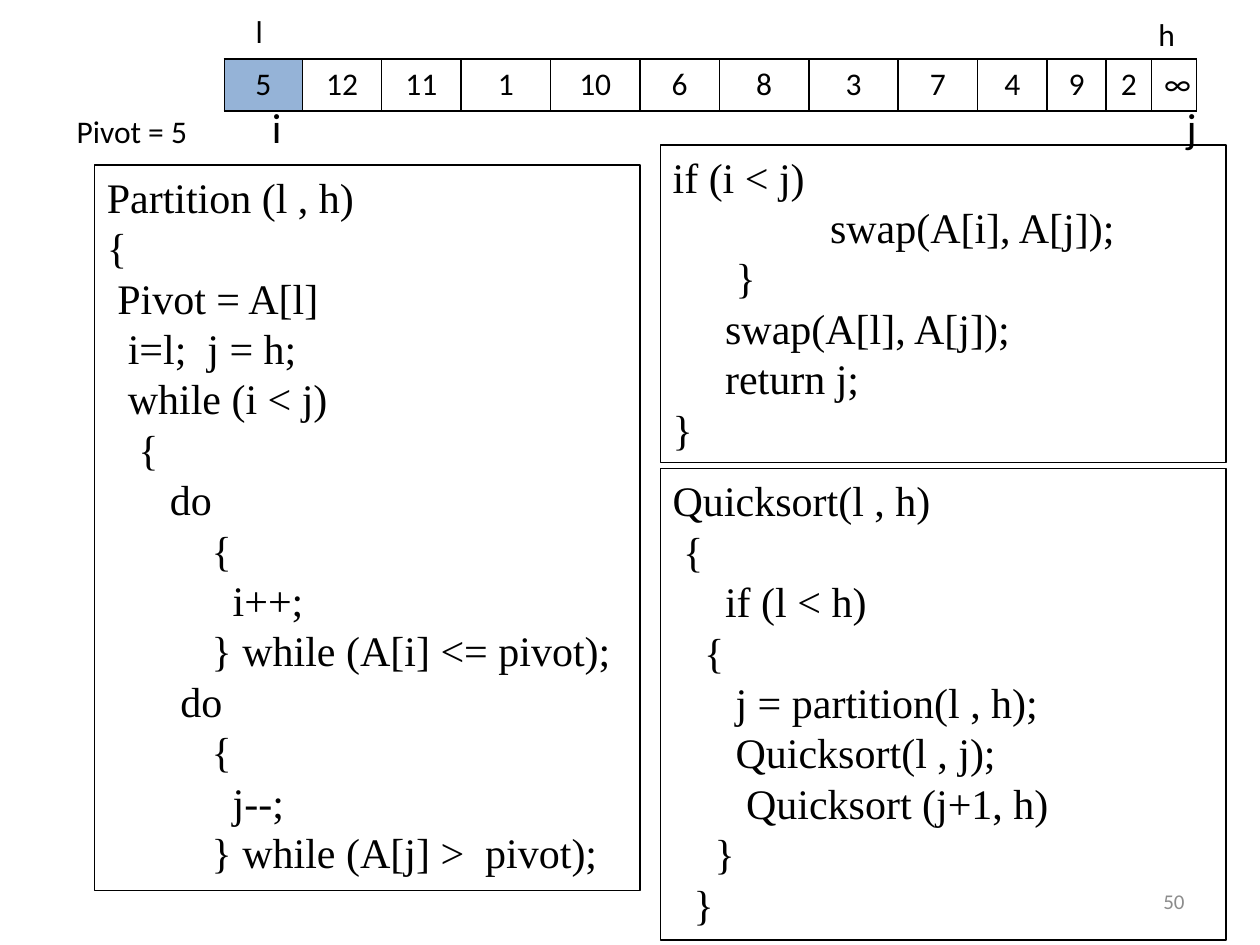
from dataclasses import dataclass

from lxml import etree
from pptx import Presentation
from pptx.dml.color import RGBColor
from pptx.enum import shapes, text
from pptx.oxml.ns import qn
from pptx.util import Inches, Pt


@dataclass(frozen=True)
class Theme:
    ink: RGBColor = RGBColor(0, 0, 0)
    mute: RGBColor = RGBColor(0x8C, 0x8C, 0x8C)
    mark: RGBColor = RGBColor(0x95, 0xB3, 0xD7)
    sans: str = "Calibri"
    serif: str = "Times New Roman"
    big: int = 24
    mid: int = 18
    small: int = 12


THEME = Theme()
LEFT, RIGHT = text.PP_ALIGN.LEFT, text.PP_ALIGN.RIGHT

VALUES = ["5", "12", "11", "1", "10", "6", "8", "3", "7", "4", "9", "2", "∞"]
WIDTHS = [0.62, 0.63, 0.63, 0.71, 0.71, 0.63, 0.71, 0.71, 0.63,
          0.55, 0.47, 0.36, 0.36]

PARTITION = """Partition (l , h)
{
 Pivot = A[l]
  i=l;  j = h;
  while (i < j)
   {
      do
          {
            i++;
          } while (A[i] <= pivot);
       do
          {
            j--;
          } while (A[j] >  pivot);"""

SWAP = """if (i < j)
               swap(A[i], A[j]);
      }
     swap(A[l], A[j]);
     return j;
}"""

QUICKSORT = """Quicksort(l , h)
 {
     if (l < h)
   {
      j = partition(l , h);
      Quicksort(l , j);
       Quicksort (j+1, h)
    }
  }"""


def style(frame, size, face=THEME.sans, color=THEME.ink, align=LEFT):
    for para in frame.paragraphs:
        para.alignment = align
        for run in para.runs:
            run.font.size = Pt(size)
            run.font.name = face
            run.font.bold = False
            run.font.color.rgb = color


def add_label(slide, box, words, size=THEME.mid, **look):
    frame = slide.shapes.add_textbox(*map(Inches, box)).text_frame
    frame.word_wrap = True
    frame.text = words
    style(frame, size, **look)
    return frame


def add_marks(slide, box, names, stops):
    """Put each pointer name at its own tab stop, in inches from the text edge."""
    frame = add_label(slide, box, "".join("\t" + name for name in names), THEME.big)
    props = frame.paragraphs[0]._p.get_or_add_pPr()
    tabs = etree.SubElement(props, qn("a:tabLst"))
    for stop in stops:
        etree.SubElement(tabs, qn("a:tab"), pos=str(Inches(stop)), algn="l")


def add_edges(cell):
    props = cell._tc.get_or_add_tcPr()
    for side in ("lnL", "lnR", "lnT", "lnB"):
        line = etree.SubElement(props, qn("a:" + side), w=str(Pt(1)))
        fill = etree.SubElement(line, qn("a:solidFill"))
        etree.SubElement(fill, qn("a:srgbClr"), val=str(THEME.ink))


def add_array(slide, box):
    """Draw the array as a one-row table with the pivot shaded."""
    table = slide.shapes.add_table(1, len(VALUES), *map(Inches, box)).table
    table.first_row = table.horz_banding = False
    for col, (value, width) in enumerate(zip(VALUES, WIDTHS)):
        table.columns[col].width = Inches(width)
        cell = table.cell(0, col)
        cell.text = value
        style(cell.text_frame, THEME.mid, align=text.PP_ALIGN.CENTER)
        add_edges(cell)
        if col == 0:
            cell.fill.solid()
            cell.fill.fore_color.rgb = THEME.mark
        else:
            cell.fill.background()


def add_code(slide, box, code):
    panel = slide.shapes.add_shape(shapes.MSO_SHAPE.RECTANGLE, *map(Inches, box))
    panel.shadow.inherit = False
    panel.fill.background()
    panel.line.color.rgb = THEME.ink
    panel.line.width = Pt(0.75)
    frame = panel.text_frame
    frame.word_wrap = True
    frame.auto_size = text.MSO_AUTO_SIZE.SHAPE_TO_FIT_TEXT
    frame.vertical_anchor = text.MSO_ANCHOR.TOP
    frame.text = code
    style(frame, THEME.big, THEME.serif)


def main():
    deck = Presentation()
    deck.slide_width, deck.slide_height = Inches(10), Inches(7.5)
    slide = deck.slides.add_slide(deck.slide_layouts[6])

    add_marks(slide, (0.47, 0.76, 9.45, 0.5), "ij", (1.59, 8.85))
    number = add_label(slide, (7.17, 6.95, 2.33, 0.4), "50", THEME.small,
                       color=THEME.mute, align=RIGHT)
    number.vertical_anchor = text.MSO_ANCHOR.MIDDLE
    add_array(slide, (1.78, 0.47, sum(WIDTHS), 0.41))
    add_label(slide, (1.93, 0.05, 0.47, 0.4), "l")
    add_label(slide, (9.04, 0.07, 0.47, 0.4), " h")
    add_label(slide, (0.51, 0.84, 1.65, 0.4), "Pivot = 5")

    add_code(slide, (0.75, 1.31, 4.33, 5.76), PARTITION)
    add_code(slide, (5.24, 1.15, 4.49, 2.52), SWAP)
    add_code(slide, (5.24, 3.72, 4.49, 3.74), QUICKSORT)
    deck.save("out.pptx")


if __name__ == "__main__":
    main()
